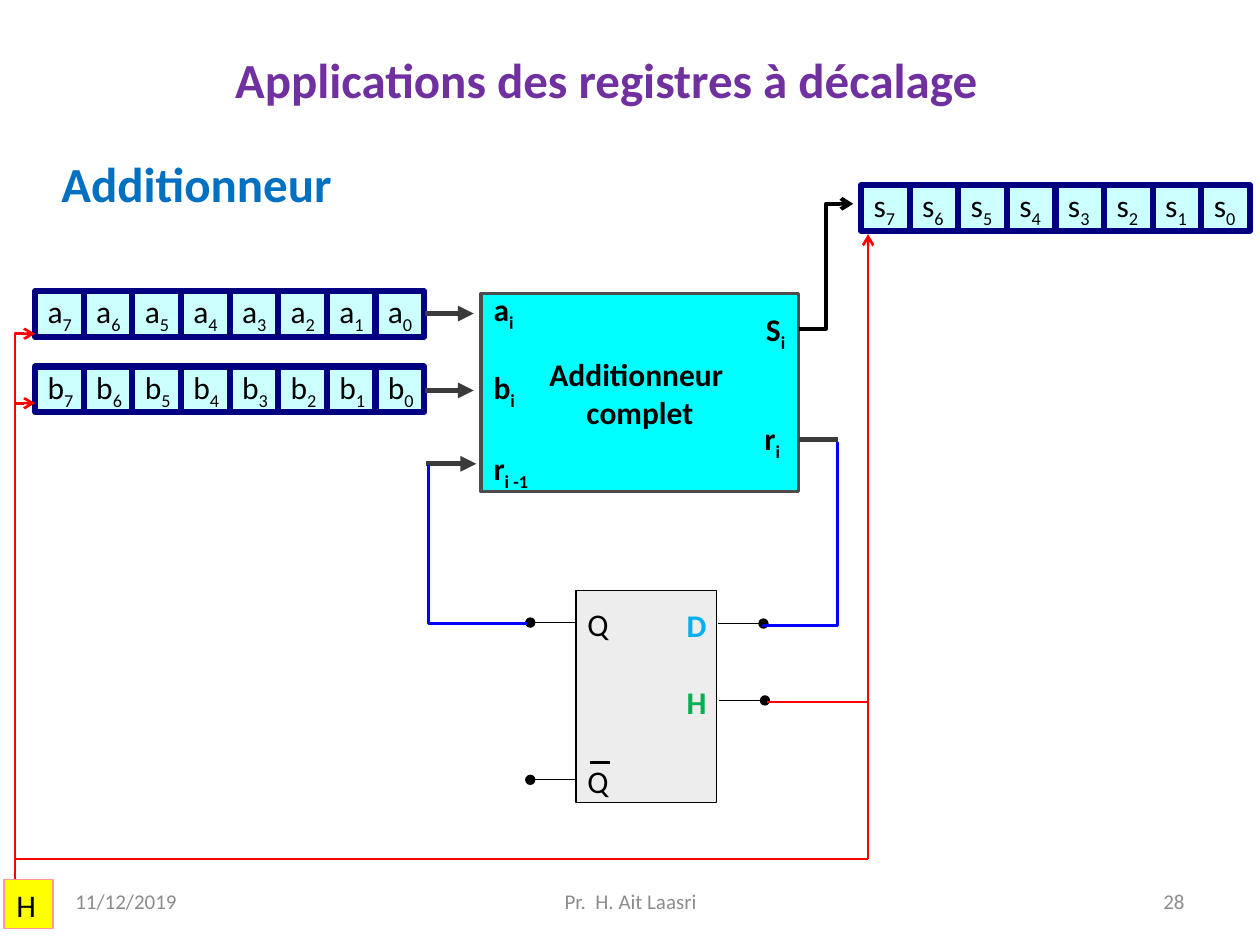
from pptx import Presentation
from pptx.util import Cm, Pt
from pptx.dml.color import RGBColor
from pptx.enum.shapes import MSO_CONNECTOR, MSO_SHAPE
from pptx.enum.text import MSO_ANCHOR, PP_ALIGN
from pptx.oxml.ns import qn
from lxml import etree

STRAIGHT, ELBOW = MSO_CONNECTOR.STRAIGHT, MSO_CONNECTOR.ELBOW
RECT = MSO_SHAPE.RECTANGLE
TOP, MIDDLE = MSO_ANCHOR.TOP, MSO_ANCHOR.MIDDLE
LEFT, CENTER, RIGHT = PP_ALIGN.LEFT, PP_ALIGN.CENTER, PP_ALIGN.RIGHT
FONT = "Calibri"
COLORS = dict(black="000000", cell="CCFFFF", navy="000080", yellow="FFFF00",
              pink="FF9999", red="FF0000", blue="0000FF", silver="DDDDDD",
              dark="3A3A3A", border="4D4D4D", cyan="00FFFF", green="00B050",
              sky="00B0F0", purple="7030A0", heading="0070C0", footer="8C8C8C")

# Content, lengths in cm
BITS, PITCH, CELL_H = 8, 0.98, 0.92
REGISTERS = [("a", 0.71, 5.87), ("b", 0.71, 7.39), ("s", 17.36, 3.73)]
ADDER_PORTS = [  # letter, subscript, left, top, width
    ("a", "i", 9.7, 5.72, 0.94), ("b", "i", 9.7, 7.29, 1.27),
    ("r", "i -1", 9.7, 8.92, 1.6), ("S", "i", 15.19, 6.12, 0.91),
    ("r", "i", 15.16, 8.33, 0.84)]
FLIP_FLOP_PORTS = [  # letter, left, top, colour, bold
    ("Q", 11.84, 12.19, "black", False), ("Q", 11.84, 15.37, "black", False),
    ("D", 13.84, 12.22, "sky", True), ("H", 13.84, 13.77, "green", True)]
LINES = [  # start, end, colour, points, end mark
    ((11.89, 15.37), (12.29, 15.37), "black", 1.5, None),
    ((11.61, 12.55), (10.69, 12.55), "black", 1, "oval"),
    ((11.61, 15.72), (10.69, 15.72), "black", 0.75, "oval"),
    ((14.48, 12.57), (15.39, 12.57), "black", 0.75, "oval"),
    ((14.5, 14.12), (15.42, 14.12), "black", 0.75, "oval"),
    ((0.3, 17.32), (17.5, 17.32), "red", 1.5, None),
    ((17.5, 17.32), (17.5, 4.72), "red", 1.5, "arrow"),
    ((15.47, 14.15), (17.48, 14.15), "red", 1.5, None),
    ((8.56, 6.32), (9.55, 6.32), "dark", 3, "triangle"),
    ((8.56, 7.87), (9.55, 7.87), "dark", 3, "triangle"),
    ((8.59, 9.35), (9.6, 9.35), "dark", 3, "triangle"),
    ((16.1, 8.86), (16.89, 8.86), "dark", 3, None)]
ELBOWS = [  # start, end, colour, points, end mark, turn, preset, bend
    ((0.3, 8.13), (0.71, 6.73), "red", 1.5, "arrow", 90, "bentConnector2", None),
    ((0.3, 17.73), (0.71, 8.13), "red", 1.5, "arrow", 90, "bentConnector2", None),
    ((15.39, 12.62), (16.89, 8.92), "blue", 1.5, None, 90, "bentConnector3", 100),
    ((10.62, 12.57), (8.64, 9.37), "blue", 1.5, None, 270, "bentConnector3", 100),
    ((16.1, 6.63), (17.2, 4.11), "black", 2.25, "arrow", 0, "bentConnector3", 50000)]
HEADINGS = [  # text, box, size, colour, bold, align, anchor
    ("Applications des registres à décalage", (0.79, 0, 22.86, 3.18),
     28, "purple", True, CENTER, MIDDLE),
    ("Additionneur", (0.99, 2.97, 6.02, 1.45), 28, "heading", True, LEFT, TOP),
    ("11/12/2019", (1.27, 17.65, 5.92, 1.02), 12, "footer", False, LEFT, MIDDLE),
    ("Pr.  H. Ait Laasri", (8.69, 17.65, 8.05, 1.02), 12, "footer", False, CENTER, MIDDLE),
    ("28", (18.21, 17.65, 5.92, 1.02), 12, "footer", False, RIGHT, MIDDLE)]


def rgb(name):
    return RGBColor.from_string(COLORS[name])


def write(sp, paragraphs, size=18, color="black", bold=False, align=LEFT,
          anchor=TOP, wrap=True):
    """Each paragraph is a (text, subscript) pair."""
    tf = sp.text_frame
    tf.word_wrap, tf.vertical_anchor = wrap, anchor
    for i, (text, subscript) in enumerate(paragraphs):
        p = tf.add_paragraph() if i else tf.paragraphs[0]
        p.alignment = align
        p.font.name, p.font.size, p.font.bold = FONT, Pt(size), bold
        p.font.color.rgb = rgb(color)
        p.add_run().text = text
        if subscript:
            r = p.add_run()
            r.text = subscript
            r.font._element.set("baseline", "-25000")
    return tf


def box(bounds, fill, line, width):
    sp = s.shapes.add_shape(RECT, *map(Cm, bounds))
    sp.shadow.inherit = False
    sp.fill.solid()
    sp.fill.fore_color.rgb = rgb(fill)
    sp.line.color.rgb = rgb(line)
    sp.line.width = Pt(width)
    return sp


def textbox(*bounds):
    return s.shapes.add_textbox(*map(Cm, bounds))


def connect(kind, start, end, color, width, mark):
    c = s.shapes.add_connector(kind, *map(Cm, start + end))
    c.line.color.rgb = rgb(color)
    c.line.width = Pt(width)
    if mark:
        etree.SubElement(c.line._get_or_add_ln(), qn("a:tailEnd"), type=mark)
    etree.SubElement(c._element.spPr, qn("a:effectLst"))
    return c


def elbow(start, end, color, width, mark, turn, preset, bend):
    # Endpoints are turned back about the middle, then the frame is rotated
    (x1, y1), (x2, y2) = start, end
    dx, dy = x2 - x1, y2 - y1
    vx, vy = {0: (dx, dy), 90: (dy, -dx), 270: (-dy, dx)}[turn]
    mx, my = (x1 + x2) / 2, (y1 + y2) / 2
    c = connect(ELBOW, (mx - vx / 2, my - vy / 2), (mx + vx / 2, my + vy / 2),
                color, width, mark)
    spPr = c._element.spPr
    spPr.find(qn("a:xfrm")).set("rot", str(turn * 60000))
    geom = spPr.find(qn("a:prstGeom"))
    geom.set("prst", preset)
    if bend is not None:
        guides = geom.find(qn("a:avLst"))
        if guides is None:
            guides = etree.SubElement(geom, qn("a:avLst"))
        etree.SubElement(guides, qn("a:gd"), name="adj1", fmla=f"val {bend}")


prs = Presentation()
prs.slide_width, prs.slide_height = Cm(25.4), Cm(19.05)
s = prs.slides.add_slide(prs.slide_layouts[6])

# Shift registers
for letter, left, top in REGISTERS:
    for i in range(BITS):
        sp = box((left + i * PITCH, top, PITCH, CELL_H), "cell", "navy", 3.5)
        write(sp, [(letter, str(BITS - 1 - i))], anchor=MIDDLE, wrap=False)

# Clock, flip-flop and full adder
clock = box((0.08, 17.73, 0.99, 0.99), "yellow", "pink", 0.75)
write(clock, [("H", "")])
flip_flop = box((11.61, 11.91, 2.84, 4.27), "silver", "black", 0.75)
fill_color = flip_flop._element.spPr.find(qn("a:solidFill"))[0]
etree.SubElement(fill_color, qn("a:alpha"), val="50000")
adder = box((9.7, 5.92, 6.4, 3.99), "cyan", "border", 2)
write(adder, [("Additionneur ", ""), ("complet", "")], bold=True, align=CENTER,
      anchor=MIDDLE, wrap=False)

# Port labels
for letter, subscript, left, top, width in ADDER_PORTS:
    write(textbox(left, top, width, 1.02), [(letter, subscript)], bold=True, wrap=False)
for letter, left, top, color, bold in FLIP_FLOP_PORTS:
    tf = write(textbox(left, top, 0.46, 0.76), [(letter, "")], color=color,
               bold=bold, anchor=MIDDLE)
    tf.margin_left = tf.margin_right = tf.margin_top = tf.margin_bottom = 0

# Wires
for wire in LINES:
    connect(STRAIGHT, *wire)
for wire in ELBOWS:
    elbow(*wire)

# Title, heading and footer
for text, bounds, size, color, bold, align, anchor in HEADINGS:
    write(textbox(*bounds), [(text, "")], size, color, bold, align, anchor)

prs.save("out.pptx")
